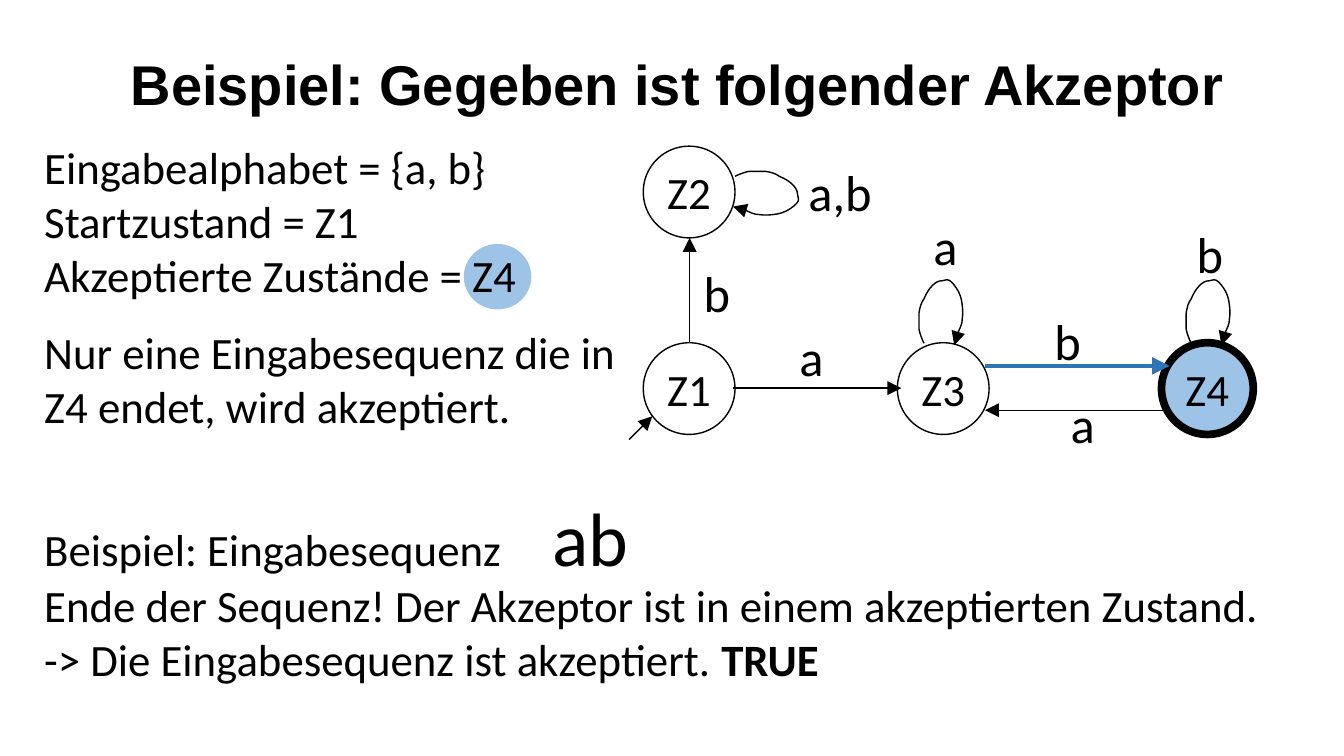
from lxml import etree
from pptx import Presentation
from pptx.dml.color import RGBColor
from pptx.enum.shapes import MSO_CONNECTOR, MSO_SHAPE
from pptx.enum.text import MSO_ANCHOR, PP_ALIGN
from pptx.oxml.ns import qn
from pptx.util import Pt

PX = 9144  # 100 px to the inch
OVAL = MSO_SHAPE.OVAL
LINE = MSO_CONNECTOR.STRAIGHT
MIDDLE = MSO_ANCHOR.MIDDLE
CENTER = PP_ALIGN.CENTER
COLORS = {"ink": "000000", "mark": "9DC3E6", "step": "2E75B6"}
COLORS = {name: RGBColor.from_string(code) for name, code in COLORS.items()}


def style(runs, size, bold=False):
    for run in runs:
        run.font.size = Pt(size)
        run.font.name = "Calibri"
        run.font.bold = bold
        run.font.color.rgb = COLORS["ink"]


def stroke(shape, color="ink", width=1):
    """Draw the outline with an arrowhead at its end and no shadow."""
    shape.line.color.rgb = COLORS[color]
    shape.line.width = Pt(width)
    etree.SubElement(shape.line._get_or_add_ln(), qn("a:tailEnd"),
                     type="triangle", w="lg", len="lg")
    etree.SubElement(shape._element.spPr, qn("a:effectLst"))


deck = Presentation()
deck.slide_width, deck.slide_height = 1333 * PX, 750 * PX
slide = deck.slides.add_slide(deck.slide_layouts[6])
shapes = slide.shapes

# Highlight behind the accepted state in the text
mark = shapes.add_shape(OVAL, 460 * PX, 242 * PX, 67 * PX, 65 * PX)
mark.shadow.inherit = False
mark.fill.solid()
mark.fill.fore_color.rgb = COLORS["mark"]
mark.line.fill.background()

# Text blocks and edge labels: text, left, top, width, height, size
TEXTS = {
    "title": ("Beispiel: Gegeben ist folgender Akzeptor", 10, 14, 1323, 145, 40),
    "facts": ("Eingabealphabet = {a, b}\nStartzustand = Z1\n"
              "Akzeptierte Zustände = Z4\n"
              "Nur eine Eingabesequenz die in Z4 endet, wird akzeptiert.",
              34, 134, 590, 303, 32),
    "input": ("Beispiel: Eingabesequenz\t", 34, 482, 735, 101, 32),
    "result": ("Ende der Sequenz! Der Akzeptor ist in einem akzeptierten Zustand.\n"
               "-> Die Eingabesequenz ist akzeptiert. ", 34, 568, 1264, 118, 32),
    "Z1-Z2": ("b", 688, 255, 46, 71, 36),
    "Z2-Z2": ("a,b", 792, 155, 91, 71, 36),
    "Z1-Z3": ("a", 783, 319, 46, 71, 36),
    "Z3-Z3": ("a", 916, 208, 46, 71, 36),
    "Z4-Z4": ("b", 1177, 216, 46, 71, 36),
    "Z3-Z4": ("b", 1036, 303, 46, 71, 36),
    "Z4-Z3": ("a", 1052, 385, 46, 71, 36),
}
frames = {}
for name, (text, left, top, width, height, size) in TEXTS.items():
    box = shapes.add_textbox(left * PX, top * PX, width * PX, height * PX)
    frame = frames[name] = box.text_frame
    frame.word_wrap = True
    frame.text = text
    for para in frame.paragraphs:
        style(para.runs, size)

title = frames["title"]
title.vertical_anchor = MIDDLE
head = title.paragraphs[0]
head.alignment = CENTER
head.line_spacing = 0.9
head.runs[0].font.name = "Arial"
head.runs[0].font.bold = True

frames["facts"].paragraphs[3].space_before = Pt(17)

# Closing runs: the input word and the verdict
for name, text, size, bold in (("input", "ab", 54, False), ("result", "TRUE", 32, True)):
    run = frames[name].paragraphs[-1].add_run()
    run.text = text
    style([run], size, bold)

props = frames["input"].paragraphs[0]._p.get_or_add_pPr()
tabs = etree.SubElement(props, qn("a:tabLst"))
etree.SubElement(tabs, qn("a:tab"), pos=str(504 * PX), algn="l")

# States
SIZE = 91
for name, left, top in (("Z1", 638, 340), ("Z2", 638, 145),
                        ("Z3", 890, 340), ("Z4", 1152, 340)):
    state = shapes.add_shape(OVAL, left * PX, top * PX, SIZE * PX, SIZE * PX)
    state.shadow.inherit = False
    state.line.color.rgb = COLORS["ink"]
    if name == "Z4":
        state.fill.solid()
        state.fill.fore_color.rgb = COLORS["mark"]
        state.line.width = Pt(5.5)
    else:
        state.fill.background()
        state.line.width = Pt(1)
    frame = state.text_frame
    frame.text = name
    frame.word_wrap = False
    frame.margin_left = frame.margin_right = 0
    frame.vertical_anchor = MIDDLE
    frame.paragraphs[0].alignment = CENTER
    style(frame.paragraphs[0].runs, 32)

# Edges between states, and the start arrow
for x1, y1, x2, y2, color, width in (
        (684, 340, 684, 236, "ink", 1),
        (727, 385, 894, 385, "ink", 1),
        (1160, 407, 977, 407, "ink", 1),
        (624, 436, 647, 413, "ink", 1),
        (977, 363, 1160, 363, "step", 2.5)):
    edge = shapes.add_connector(LINE, x1 * PX, y1 * PX, x2 * PX, y2 * PX)
    stroke(edge, color, width)

# Self loops: one outline of Bézier curves (two handles, end), placed three times
START = (2, 5)
CURVES = (
    ((6, 3), (11, 1), (16, 0)), ((21, 0), (27, 0), (32, 0)),
    ((38, 1), (42, 2), (46, 5)), ((51, 7), (56, 10), (59, 13)),
    ((62, 16), (64, 19), (64, 23)), ((65, 26), (66, 29), (63, 32)),
    ((60, 35), (55, 39), (49, 41)), ((43, 43), (33, 44), (27, 43)),
    ((20, 43), (15, 39), (10, 38)), ((6, 37), (3, 36), (0, 35)),
)
for left, top, turn in ((727, 170, 0), (901, 289, 270), (1166, 289, 270)):
    pen = shapes.build_freeform(*START, scale=PX)
    pen.add_line_segments([curve[-1] for curve in CURVES], close=False)
    loop = pen.convert_to_shape(left * PX, top * PX)
    for side, curve in zip(list(loop._element.iter(qn("a:lnTo"))), CURVES):
        bend = etree.Element(qn("a:cubicBezTo"))
        for x, y in curve:
            etree.SubElement(bend, qn("a:pt"), x=str(x), y=str(y))
        side.getparent().replace(side, bend)
    loop.fill.background()
    loop.rotation = turn
    stroke(loop)

deck.save("out.pptx")
